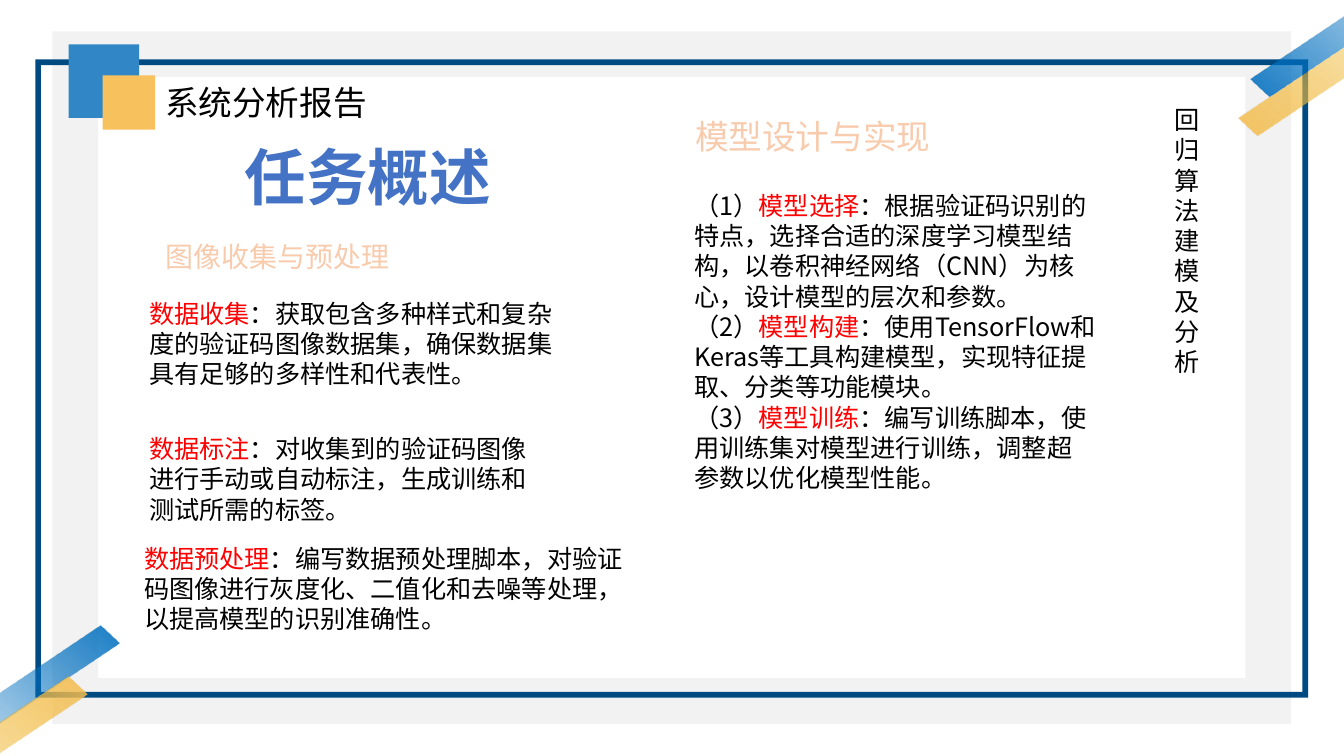
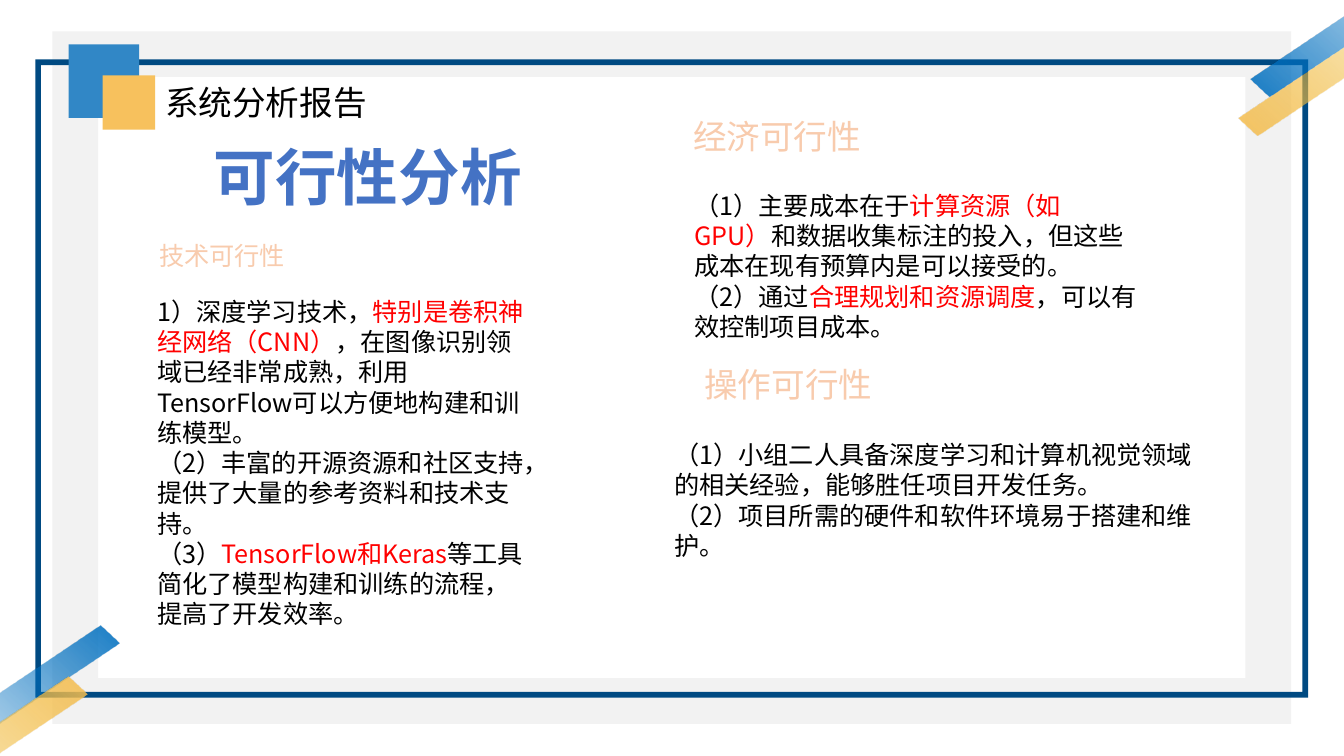
from dataclasses import dataclass

from lxml import etree
from pptx import Presentation
from pptx.dml.color import RGBColor
from pptx.enum.lang import MSO_LANGUAGE_ID
from pptx.enum.shapes import MSO_SHAPE
from pptx.enum.text import MSO_ANCHOR, MSO_AUTO_SIZE, PP_ALIGN
from pptx.oxml.ns import qn
from pptx.util import Cm, Pt

FRAME = MSO_SHAPE.FRAME
RECT = MSO_SHAPE.RECTANGLE
STRIPE = MSO_SHAPE.DIAGONAL_STRIPE
TOP = MSO_ANCHOR.TOP
FIT_SHAPE = MSO_AUTO_SIZE.SHAPE_TO_FIT_TEXT
NO_FIT = MSO_AUTO_SIZE.NONE
LEFT, CENTER = PP_ALIGN.LEFT, PP_ALIGN.CENTER
CHINESE = MSO_LANGUAGE_ID.SIMPLIFIED_CHINESE

FONT = "Noto Sans CJK SC"
BLACK, RED, TITLE_BLUE = "000000", "FF0000", "4472C4"
PEACH, ORANGE = "F8CBAD", "ED7D31"
GREY, NAVY, BLUE, YELLOW = "F2F2F2", "004A82", "3187C6", "F7C15D"
BAND_BLUE, GOLD = "0070C0", "E9AC01"
TITLE_ONLY = 5
TITLE_BOX = (4.47, 3.38, 9.6, 2.54)
STRIPE_SIZE = (8.64, 2.06)


@dataclass
class Block:
    left: float
    top: float
    width: float
    height: float
    paragraphs: tuple[str, ...]
    size: int = 18
    color: str = BLACK
    bold: bool = False
    outline: str = ""
    wrap: bool = True
    align: PP_ALIGN = LEFT
    fit: MSO_AUTO_SIZE = FIT_SHAPE


@dataclass
class Panel:
    kind: MSO_SHAPE
    box: tuple[float, float, float, float]
    color: str
    adjustment: float | None = None


@dataclass
class Band:
    left: float
    top: float
    rotation: float
    start: str
    end: str


@dataclass
class Page:
    title: str
    blocks: list[Block]


def heading(left: float, top: float, width: float, height: float,
            text: str, size: int = 24, fit: MSO_AUTO_SIZE = FIT_SHAPE) -> Block:
    return Block(left, top, width, height, (text,), size, PEACH,
                 outline=ORANGE, fit=fit)


PANELS = [
    Panel(FRAME, (1.32, 0.79, 31.22, 17.45), GREY, 0.066),
    Panel(FRAME, (0.89, 1.5, 32.08, 16.08), NAVY, 0.009),
    Panel(RECT, (1.73, 1.12, 1.78, 1.85), BLUE),
    Panel(RECT, (2.59, 1.9, 1.32, 1.37), YELLOW),
]
BANDS = [
    Band(30.58, -0.53, 132.9, YELLOW, GOLD),
    Band(30.89, -1.52, 132.9, BAND_BLUE, BAND_BLUE),
    Band(-5, 17.65, 312.9, BAND_BLUE, BAND_BLUE),
    Band(-5.82, 18.95, 312.9, YELLOW, GOLD),
]
REPORT_LABEL = Block(3.91, 1.93, 5.59, 1.27, ("系统分析报告",), 24, wrap=False)

PAGES = [
    Page("任务概述", [
        heading(3.91, 5.92, 6.81, 1.12, "图像收集与预处理", 20),
        Block(3.51, 7.39, 11.15, 2.57, (
            "|数据收集|：获取包含多种样式和复杂度的验证码图像数据集，确保数据集具有足够的多样性和代表性。",)),
        Block(29.34, 2.51, 1.4, 7.19, ("回归算法建模及分析",)),
        Block(3.38, 13.56, 12.83, 2.57, (
            "|数据预处理|：编写数据预处理脚本，对验证码图像进行灰度化、二值化和去噪等处理，以提高模型的识别准确性。",)),
        Block(3.51, 10.8, 10.46, 2.57, (
            "|数据标注|：对收集到的验证码图像进行手动或自动标注，生成训练和测试所需的标签。",)),
        heading(17.27, 2.79, 10.85, 1.24, "模型设计与实现", fit=NO_FIT),
        Block(17.25, 4.67, 10.64, 7.95, (
            "（1）|模型选择|：根据验证码识别的特点，选择合适的深度学习模型结构，以卷积神经网络（CNN）为核心，设计模型的层次和参数。",
            "（2）|模型构建|：使用TensorFlow和Keras等工具构建模型，实现特征提取、分类等功能模块。",
            "（3）|模型训练|：编写训练脚本，使用训练集对模型进行训练，调整超参数以优化模型性能。")),
    ]),
    Page("可行性分析", [
        heading(17.22, 2.79, 10.85, 1.24, "经济可行性", fit=NO_FIT),
        Block(17.25, 4.67, 11.66, 5.54, (
            "（1）主要成本在于|计算资源（如GPU）|和数据收集标注的投入，但这些成本在现有预算内是可以接受的。",
            "（2）通过|合理规划和资源调度|，可以有效控制项目成本。"), fit=NO_FIT),
        heading(3.76, 5.92, 8.64, 1.02, "技术可行性", 18),
        Block(3.71, 7.34, 9.96, 8.71, (
            "1）深度学习技术，|特别是卷积神经网络（CNN）|，在图像识别领域已经非常成熟，利用TensorFlow可以方便地构建和训练模型。",
            "（2）丰富的开源资源和社区支持，提供了大量的参考资料和技术支持。",
            "（3）|TensorFlow和Keras|等工具简化了模型构建和训练的流程，提高了开发效率。")),
        heading(17.5, 9.04, 7.92, 1.27, "操作可行性"),
        Block(16.74, 10.95, 14, 3.33, (
            "（1）小组二人具备深度学习和计算机视觉领域的相关经验，能够胜任项目开发任务。",
            "（2）项目所需的硬件和软件环境易于搭建和维护。")),
    ]),
]


def rgb(value: str) -> RGBColor:
    return RGBColor.from_string(value)


def set_attributes(target, values: dict) -> None:
    for name, value in values.items():
        setattr(target, name, value)


def add_outline(r_pr, color: str) -> None:
    ln = etree.Element(qn("a:ln"), w=str(Pt(1.75)))
    fill = etree.SubElement(ln, qn("a:solidFill"))
    etree.SubElement(fill, qn("a:srgbClr"), val=color)
    r_pr.insert(0, ln)


def add_run(p, text: str, block: Block, color: str) -> None:
    r = p.add_run()
    r.text = text
    set_attributes(r.font, {"size": Pt(block.size), "bold": block.bold,
                            "name": FONT, "language_id": CHINESE})
    r.font.color.rgb = rgb(color)
    r_pr = r.font._element
    east_asian = etree.Element(qn("a:ea"), typeface=FONT)
    r_pr.find(qn("a:latin")).addnext(east_asian)
    if block.outline:
        add_outline(r_pr, block.outline)


def write_text(sp, block: Block) -> None:
    tf = sp.text_frame
    set_attributes(tf, {"word_wrap": block.wrap, "auto_size": block.fit,
                        "vertical_anchor": TOP})
    for i, text in enumerate(block.paragraphs):
        p = tf.add_paragraph() if i else tf.paragraphs[0]
        p.alignment = block.align
        for j, part in enumerate(text.split("|")):
            if part:
                add_run(p, part, block, RED if j % 2 else block.color)


def add_block(s, block: Block) -> None:
    box = (block.left, block.top, block.width, block.height)
    write_text(s.shapes.add_textbox(*map(Cm, box)), block)


def set_title(s, text: str) -> None:
    sp = s.shapes.title
    set_attributes(sp, dict(zip(("left", "top", "width", "height"),
                                map(Cm, TITLE_BOX))))
    write_text(sp, Block(*TITLE_BOX, (text,), 44, TITLE_BLUE, bold=True,
                         wrap=False, align=CENTER, fit=NO_FIT))


def add_plain_shape(s, kind: MSO_SHAPE, box: tuple[float, ...],
                    adjustment: float | None):
    sp = s.shapes.add_shape(kind, *map(Cm, box))
    sp.shadow.inherit = False
    sp.line.fill.background()
    if adjustment is not None:
        sp.adjustments[0] = adjustment
    return sp


def add_panel(s, panel: Panel) -> None:
    sp = add_plain_shape(s, panel.kind, panel.box, panel.adjustment)
    sp.fill.solid()
    sp.fill.fore_color.rgb = rgb(panel.color)


def add_band(s, band: Band) -> None:
    sp = add_plain_shape(s, STRIPE, (band.left, band.top, *STRIPE_SIZE), 0.678)
    sp.rotation = band.rotation
    sp.element.spPr.find(qn("a:xfrm")).set("flipH", "1")
    sp.fill.gradient()
    sp.fill.gradient_angle = 0
    stops = zip(sp.fill.gradient_stops, (band.start, band.end), (0, 0.68))
    for stop, color, position in stops:
        stop.color.rgb = rgb(color)
        stop.position = position
    end_color = list(sp.element.spPr.iter(qn("a:srgbClr")))[-1]
    etree.SubElement(end_color, qn("a:alpha"), val="0")


def add_page(prs, page: Page) -> None:
    s = prs.slides.add_slide(prs.slide_layouts[TITLE_ONLY])
    for panel in PANELS:
        add_panel(s, panel)
    for band in BANDS:
        add_band(s, band)
    set_title(s, page.title)
    for block in [REPORT_LABEL, *page.blocks]:
        add_block(s, block)


def main() -> None:
    prs = Presentation()
    prs.slide_width, prs.slide_height = Cm(33.87), Cm(19.05)
    for page in PAGES:
        add_page(prs, page)
    prs.save("out.pptx")


if __name__ == "__main__":
    main()
